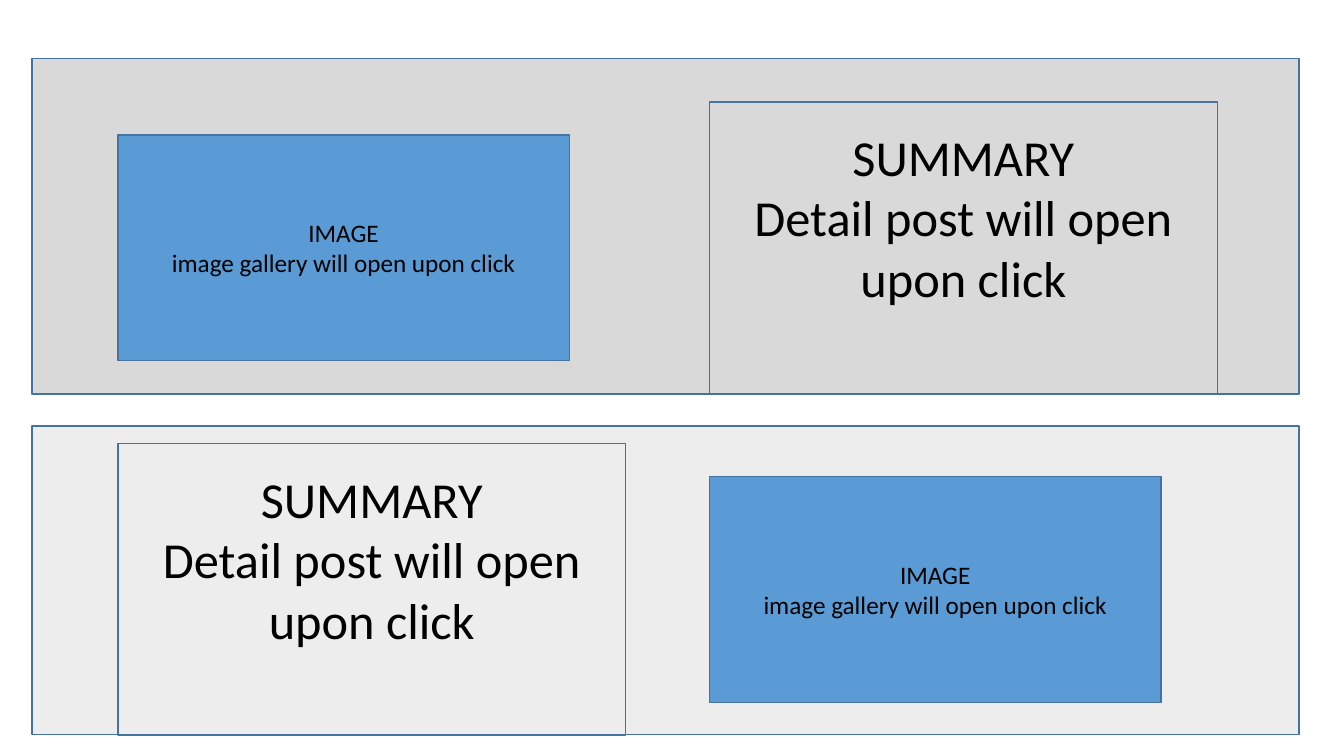
"""Build a wireframe slide of two post bands, each with an image and a summary box."""
from pptx import Presentation
from pptx.dml.color import RGBColor as RGB
from pptx.enum.shapes import MSO_SHAPE as SHAPE
from pptx.enum.text import MSO_ANCHOR as ANCHOR, PP_ALIGN as ALIGN
from pptx.util import Cm, Pt

COLORS = {"upper": "D9D9D9", "lower": "EDEDED", "image": "5B9BD5",
          "line": "43739E", "text": "000000"}
LEFT_COL, RIGHT_COL = 2.97, 17.88


def add_box(s, x, y, w, h, fill=None):
    sp = s.shapes.add_shape(SHAPE.RECTANGLE, Cm(x), Cm(y), Cm(w), Cm(h))
    sp.shadow.inherit = False
    if fill:
        sp.fill.solid()
        sp.fill.fore_color.rgb = RGB.from_string(COLORS[fill])
    else:
        sp.fill.background()
    sp.line.color.rgb = RGB.from_string(COLORS["line"])
    sp.line.width = Pt(1)
    return sp


def set_text(sp, text, size):
    tf = sp.text_frame
    tf.word_wrap = True
    tf.vertical_anchor = ANCHOR.MIDDLE
    tf.text = text
    for p in tf.paragraphs:
        p.alignment = ALIGN.CENTER
        for r in p.runs:
            r.font.name = "Calibri"
            r.font.size = Pt(size)
            r.font.color.rgb = RGB.from_string(COLORS["text"])


def add_band(s, y, h, fill):
    add_box(s, 0.81, y, 31.93, h, fill)


def add_image_box(s, x, y):
    sp = add_box(s, x, y, 11.38, 5.69, "image")
    set_text(sp, "IMAGE\nimage gallery will open upon click", 18)


def add_summary_box(s, x, y):
    sp = add_box(s, x, y, 12.8, 7.34)
    set_text(sp, "SUMMARY\nDetail post will open upon click", 36)
    sp.text_frame.margin_bottom = Cm(1.68)


def main():
    prs = Presentation()
    prs.slide_width, prs.slide_height = Cm(33.87), Cm(19.05)
    s = prs.slides.add_slide(prs.slide_layouts[6])
    add_band(s, 10.74, 7.77, "lower")
    add_band(s, 1.47, 8.46, "upper")
    add_image_box(s, LEFT_COL, 3.4)
    add_summary_box(s, RIGHT_COL, 2.57)
    add_image_box(s, RIGHT_COL, 12.01)
    add_summary_box(s, LEFT_COL, 11.18)
    prs.save("out.pptx")


main()
